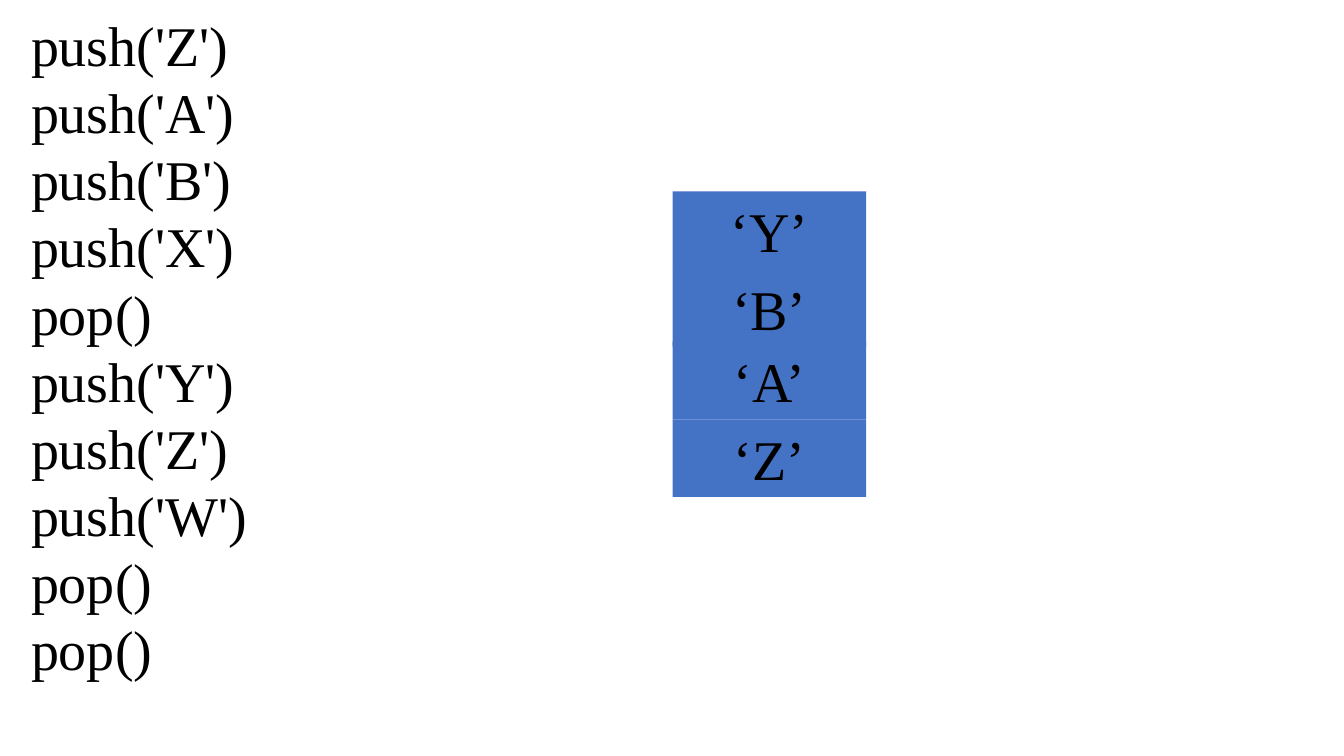
from pptx import Presentation
from pptx.dml.color import RGBColor
from pptx.enum.shapes import MSO_SHAPE
from pptx.enum.text import MSO_ANCHOR, PP_ALIGN
from pptx.util import Inches, Pt

BLACK = RGBColor(0x00, 0x00, 0x00)
BLUE = RGBColor(0x44, 0x72, 0xC4)
FONT = "Times New Roman"
OPERATIONS = ["push('Z')", "push('A')", "push('B')", "push('X')", "pop()",
              "push('Y')", "push('Z')", "push('W')", "pop()", "pop()"]
STACK = ["‘Y’", "‘B’", "‘A’", "‘Z’"]
STACK_LEFT, STACK_TOP = 6.67, 1.9
CELL_W, CELL_H = 1.92, 0.77
PAIR_STEP = 1.49


def write(tf, text, align):
    """Write one paragraph, vertically centred, in the slide's font."""
    tf.vertical_anchor = MSO_ANCHOR.MIDDLE
    p = tf.paragraphs[0]
    p.text = text
    p.alignment = align
    p.font.name = FONT
    p.font.size = Pt(40)
    p.font.color.rgb = BLACK
    return p


def add_operations(s, operations):
    """List the stack operations, one a line, down the left side."""
    box = s.shapes.add_textbox(Inches(0.21), Inches(0.02), Inches(2.37), Inches(6.83))
    box.text_frame.word_wrap = False
    p = write(box.text_frame, "\n".join(operations), PP_ALIGN.LEFT)
    p.line_spacing = Pt(48)


def add_cell(group, text, top):
    """Add one cell of the stack to its group."""
    sp = group.shapes.add_shape(MSO_SHAPE.RECTANGLE, Inches(STACK_LEFT), Inches(top),
                                Inches(CELL_W), Inches(CELL_H))
    sp.shadow.inherit = False
    sp.fill.solid()
    sp.fill.fore_color.rgb = BLUE
    sp.line.fill.background()
    write(sp.text_frame, text, PP_ALIGN.CENTER)


def add_stack(s, values):
    """Pile the values up in pairs of cells, the top of the stack first."""
    group = s.shapes.add_group_shape()
    for i, value in reversed(list(enumerate(values))):
        pair, row = divmod(i, 2)
        add_cell(group, value, STACK_TOP + pair * PAIR_STEP + row * CELL_H)


def main():
    """Build the slide and save it."""
    prs = Presentation()
    prs.slide_width, prs.slide_height = Inches(13.33), Inches(7.5)
    s = prs.slides.add_slide(prs.slide_layouts[6])
    add_operations(s, OPERATIONS)
    add_stack(s, STACK)
    prs.save("out.pptx")


if __name__ == "__main__":
    main()
